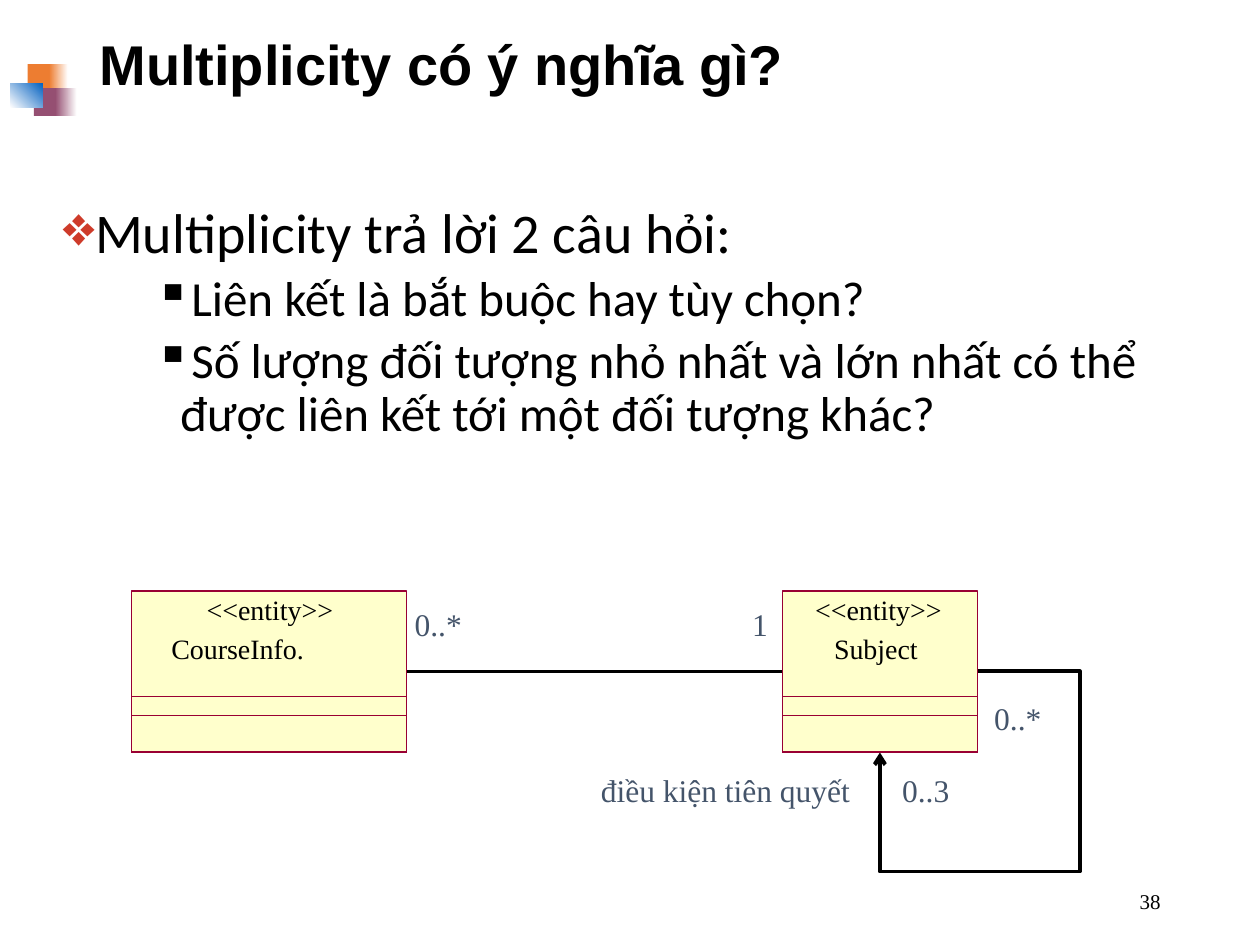
import pptx
import pptx.dml.color
import pptx.enum.shapes
import pptx.enum.text
import pptx.oxml.ns
import pptx.oxml.xmlchemy
import pptx.util
from lxml import etree

Pt = pptx.util.Pt
qn = pptx.oxml.ns.qn
RECTANGLE = pptx.enum.shapes.MSO_SHAPE.RECTANGLE
MIDDLE = pptx.enum.text.MSO_ANCHOR.MIDDLE
TOP = pptx.enum.text.MSO_ANCHOR.TOP
LEFT = pptx.enum.text.PP_ALIGN.LEFT
RIGHT = pptx.enum.text.PP_ALIGN.RIGHT
SERIF = "Times New Roman"
BLACK, SLATE = "000000", "44546A"


def color(value):
    return pptx.dml.color.RGBColor.from_string(value)


def add_text(text, left, top, width, height, size=18, font=SERIF, ink=BLACK,
             bold=False, inset=True, wrap=True, anchor=TOP, align=LEFT):
    """Add a text box with one paragraph and return its text frame."""
    box = page.shapes.add_textbox(Pt(left), Pt(top), Pt(width), Pt(height))
    frame = box.text_frame
    frame.word_wrap = wrap
    frame.vertical_anchor = anchor
    if not inset:
        frame.margin_left = frame.margin_right = 0
        frame.margin_top = frame.margin_bottom = 0
    para = frame.paragraphs[0]
    para.alignment = align
    span = para.add_run()
    span.text = text
    span.font.size = Pt(size)
    span.font.name = font
    span.font.bold = bold
    span.font.color.rgb = color(ink)
    return frame


deck = pptx.Presentation()
deck.slide_width, deck.slide_height = Pt(720), Pt(540)
page = deck.slides.add_slide(deck.slide_layouts[6])

# Corner ornament: left, top, width, height, colours, gradient angle
for left, top, width, height, colors, angle in [
    (15.8, 36.7, 14.4, 15.8, ["ED7D31"], 0),
    (28.1, 36.7, 10.8, 15.8, ["ED7D31", "FFFFFF"], 0),
    (19.4, 50.4, 13.7, 15.8, ["954F72"], 0),
    (31.7, 50.4, 12.2, 15.8, ["954F72", "FFFFFF"], 0),
    (5.8, 47.5, 18.7, 13.7, ["FFFFFF", "0563C1"], 45),
]:
    tile = page.shapes.add_shape(RECTANGLE, Pt(left), Pt(top), Pt(width), Pt(height))
    tile.shadow.inherit = False
    tile.line.fill.background()
    if len(colors) == 1:
        tile.fill.solid()
        tile.fill.fore_color.rgb = color(colors[0])
    else:
        tile.fill.gradient()
        tile.fill.gradient_angle = angle
        for stop, value in zip(tile.fill.gradient_stops, colors):
            stop.color.rgb = color(value)

# Title, body and page number
title = add_text("Multiplicity có ý nghĩa gì?", 49.7, 9.4, 620.6, 58.3,
                 size=32, font="Arial", bold=True, anchor=MIDDLE)
title.paragraphs[0].line_spacing = 0.9

body = add_text("Multiplicity trả lời 2 câu hỏi:", 28.8, 113.8, 668.2, 210.2,
                size=32, font="Calibri")
for text in [
    "Liên kết là bắt buộc hay tùy chọn?",
    "Số lượng đối tượng nhỏ nhất và lớn nhất có thể được liên kết tới một đối tượng khác?",
]:
    para = body.add_paragraph()
    para.level = 1
    para.space_before = Pt(5)
    span = para.add_run()
    span.text = text
    span.font.size = Pt(28)
    span.font.name = "Calibri"
    span.font.color.rgb = color(BLACK)
for para in body.paragraphs:
    para.line_spacing = 0.9
    mark, ink, margin = ("▪", BLACK, 67) if para.level else ("❖", "CE3B2A", 14.4)
    props = para._p.get_or_add_pPr()
    props.set("marL", str(Pt(margin)))
    props.set("indent", str(-Pt(14.4)))
    bullet_color = etree.SubElement(props, qn("a:buClr"))
    etree.SubElement(bullet_color, qn("a:srgbClr"), val=ink)
    etree.SubElement(props, qn("a:buChar"), char=mark)

add_text("38", 508.3, 500.4, 162, 28.8, size=12, anchor=MIDDLE, align=RIGHT)

# Self-association of Subject, in two halves
for points, arrow in [
    ([(617, 468), (617, 498), (502.8, 498), (502.8, 430)], True),
    ([(617, 468), (617, 383.7), (558.6, 383.7)], False),
]:
    corners = [(Pt(x), Pt(y)) for x, y in points]
    builder = page.shapes.build_freeform(*corners[0])
    builder.add_line_segments(corners[1:], close=False)
    loop = builder.convert_to_shape()
    loop.shadow.inherit = False
    loop.fill.background()
    loop.line.color.rgb = color(BLACK)
    loop.line.width = Pt(2.25)
    if arrow:
        outline = loop._element.spPr.find(qn("a:ln"))
        etree.SubElement(outline, qn("a:tailEnd"), type="arrow")

# Classes: a filled box, two compartments and two lines of text
class_top, class_height = 337.7, 92
classes = {}
for name, left, width, name_left, name_width, stereotype_left in [
    ("Subject", 447, 111.6, 476.6, 49, 465.8),
    ("CourseInfo.", 75, 157.5, 97.9, 77, 118.1),
]:
    for height in (class_height, 31.7, 20.9):
        box = page.shapes.add_shape(RECTANGLE, Pt(left), Pt(class_top + class_height - height),
                                    Pt(width), Pt(height))
        box.shadow.inherit = False
        box.line.color.rgb = color("990033")
        box.line.width = Pt(0)
        if height == class_height:
            box.fill.solid()
            box.fill.fore_color.rgb = color("FFFFCC")
            classes[name] = box
        else:
            box.fill.background()
    add_text(name, name_left, 360.7, name_width, 19.4, size=16, inset=False, wrap=False)
    add_text("<<entity>>", stereotype_left, 338.4, 75.6, 19.4, size=16, inset=False, wrap=False)

association = page.shapes.add_connector(pptx.enum.shapes.MSO_CONNECTOR.STRAIGHT, 0, 0, 0, 0)
association.begin_connect(classes["Subject"], 1)
association.end_connect(classes["CourseInfo."], 3)
association.line.color.rgb = color(BLACK)
association.line.width = Pt(2.25)
etree.SubElement(association._element.spPr, qn("a:effectLst"))

# Multiplicities and role
for text, left, top, width in [
    ("điều kiện tiên quyết", 343.4, 440.6, 144),
    ("0..3", 515.5, 440.6, 30.2),
    ("0..*", 568.1, 399.6, 27.4),
    ("0..*", 236.9, 345.6, 27.4),
    ("1", 429.8, 345.6, 10.1),
]:
    add_text(text, left, top, width, 21.6, ink=SLATE, inset=False, wrap=False)

deck.save("out.pptx")
